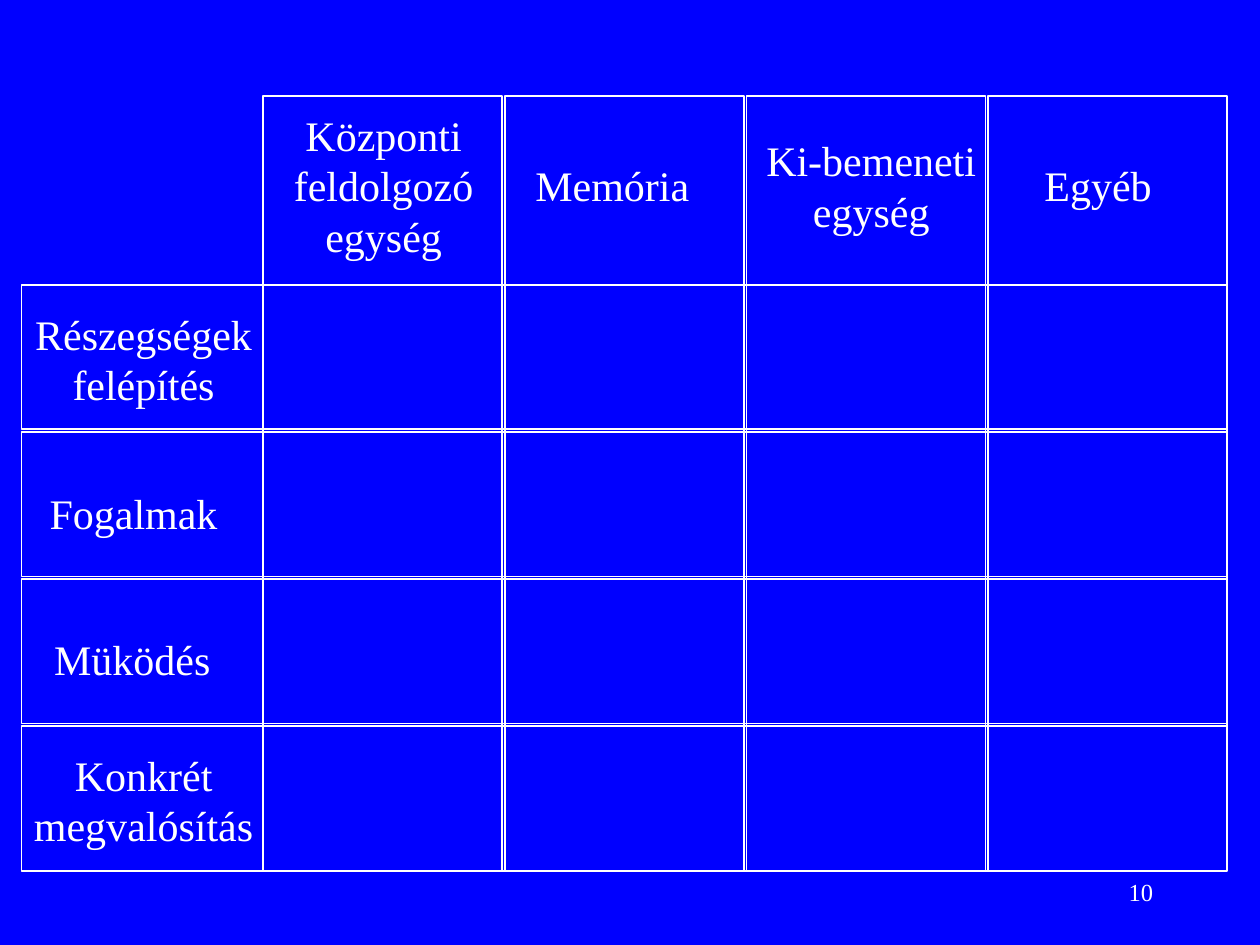
from pptx import Presentation
from pptx.dml.color import RGBColor
from pptx.enum.shapes import MSO_SHAPE
from pptx.enum.text import MSO_ANCHOR, MSO_AUTO_SIZE, PP_ALIGN
from pptx.util import Inches, Pt

BLUE = RGBColor(0x00, 0x00, 0xFF)
WHITE = RGBColor(0xFF, 0xFF, 0xFF)
FONT = "Times New Roman"
LEFT, TOP, RIGHT, BOTTOM = 0.17, 0.76, 9.74, 6.91
FIRST_COLUMN, FIRST_ROW = 2.09, 2.26
GAP = 0.02
COUNT = 4
COLUMN_STEP = (RIGHT + GAP - FIRST_COLUMN) / COUNT
ROW_STEP = (BOTTOM + GAP - FIRST_ROW) / COUNT
LINE_HEIGHT, INSET = 0.4, 0.05
COLUMN_LABELS = [
    (["Központi", "feldolgozó", "egység"], 2.23, 1.63),
    (["Memória"], 4.15, 1.42),
    (["Ki-bemeneti", "egység"], 5.98, 1.87),
    (["Egyéb"], 8.19, 1.05),
]
ROW_LABELS = [
    (["Részegségek", "felépítés"], 0.18, 2.4, 1.92),
    (["Fogalmak"], 0.29, 3.82, 1.54),
    (["Müködés"], 0.33, 4.98, 1.44),
    (["Konkrét", "megvalósítás"], 0.17, 5.9, 1.94),
]
HEADER_MIDDLE = 1.47


def add_text(slide, lines, left, top, width, height, size, alignment):
    """Add a white text box with one paragraph for each line."""
    shape = slide.shapes.add_textbox(*map(Inches, (left, top, width, height)))
    for index, line in enumerate(lines):
        paragraphs = shape.text_frame.paragraphs
        paragraph = shape.text_frame.add_paragraph() if index else paragraphs[0]
        paragraph.alignment = alignment
        run = paragraph.add_run()
        run.text = line
        run.font.name = FONT
        run.font.size = Pt(size)
        run.font.color.rgb = WHITE
    return shape


def add_label(slide, lines, left, top, width):
    """Add a row or column label that grows with its lines."""
    height = LINE_HEIGHT * len(lines) + 2 * INSET
    shape = add_text(slide, lines, left, top, width, height, 24, PP_ALIGN.CENTER)
    shape.text_frame.word_wrap = False
    shape.text_frame.auto_size = MSO_AUTO_SIZE.SHAPE_TO_FIT_TEXT
    for paragraph in shape.text_frame.paragraphs:
        paragraph.line_spacing = Inches(LINE_HEIGHT)


def add_frame(slide, left, top, width, height):
    """Add an unfilled rectangle with a white outline."""
    shape = slide.shapes.add_shape(
        MSO_SHAPE.RECTANGLE, *map(Inches, (left, top, width, height))
    )
    shape.shadow.inherit = False
    shape.fill.background()
    shape.line.color.rgb = WHITE
    shape.line.width = Pt(1)


def add_slide_number(slide, number):
    """Add the slide number at the lower right."""
    shape = add_text(slide, [number], 7.17, 6.83, 2.08, 0.5, 14, PP_ALIGN.RIGHT)
    shape.text_frame.word_wrap = True
    shape.text_frame.vertical_anchor = MSO_ANCHOR.MIDDLE


def main():
    """Build the overview grid of computer units and save it."""
    presentation = Presentation()
    presentation.slide_width, presentation.slide_height = Inches(10), Inches(7.5)
    slide = presentation.slides.add_slide(presentation.slide_layouts[6])
    slide.background.fill.solid()
    slide.background.fill.fore_color.rgb = BLUE
    for lines, left, width in COLUMN_LABELS:
        top = HEADER_MIDDLE - LINE_HEIGHT * len(lines) / 2 - INSET
        add_label(slide, lines, left, top, width)
    for lines, left, top, width in ROW_LABELS:
        add_label(slide, lines, left, top, width)
    for row in range(COUNT):
        top = FIRST_ROW + row * ROW_STEP
        add_frame(slide, LEFT, top, RIGHT - LEFT, ROW_STEP - GAP)
    for column in range(COUNT):
        left = FIRST_COLUMN + column * COLUMN_STEP
        add_frame(slide, left, TOP, COLUMN_STEP - GAP, BOTTOM - TOP)
    add_slide_number(slide, "10")
    presentation.save("out.pptx")


if __name__ == "__main__":
    main()
